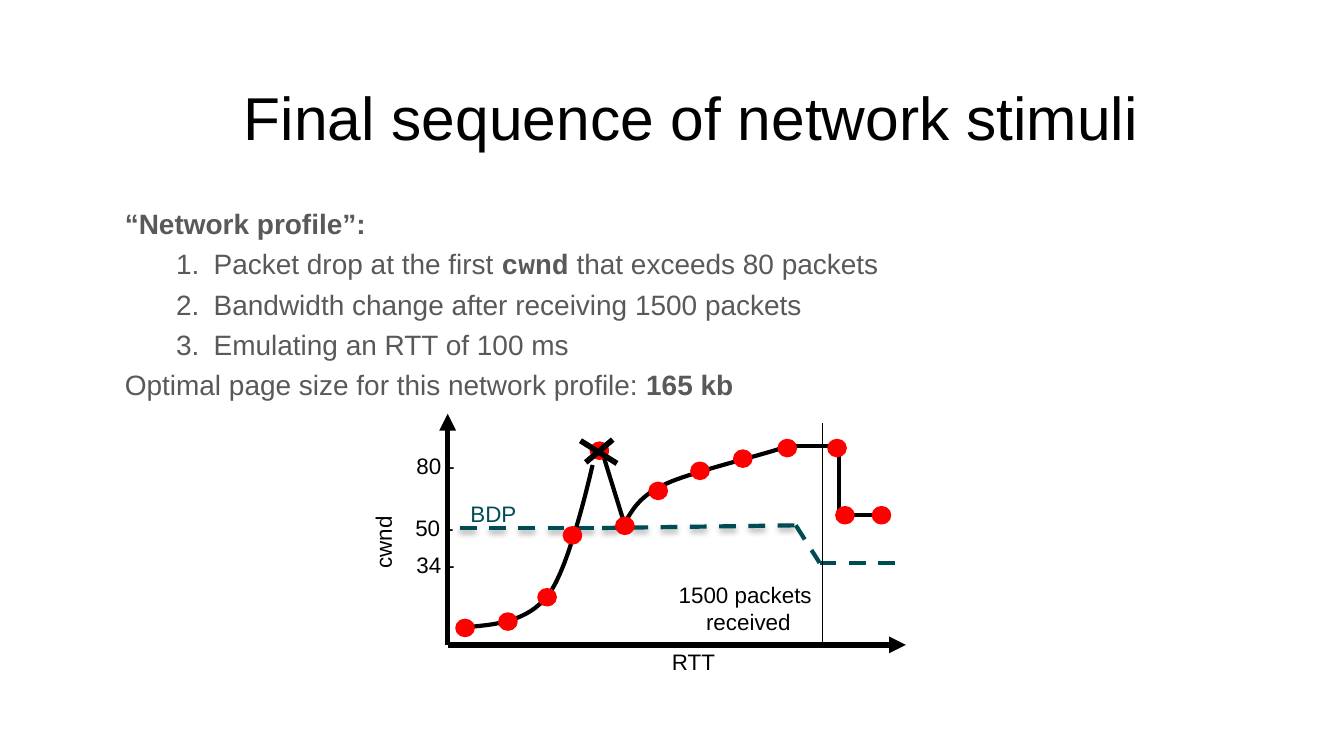
from lxml import etree
from pptx import Presentation
from pptx.dml.color import RGBColor
from pptx.enum.dml import MSO_LINE
from pptx.enum.shapes import MSO_CONNECTOR, MSO_SHAPE
from pptx.enum.text import MSO_ANCHOR, PP_ALIGN
from pptx.oxml.ns import qn
from pptx.util import Cm, Pt

STRAIGHT, ELBOW = MSO_CONNECTOR.STRAIGHT, MSO_CONNECTOR.ELBOW
OVAL, DASH = MSO_SHAPE.OVAL, MSO_LINE.DASH
LEFT, CENTER = PP_ALIGN.LEFT, PP_ALIGN.CENTER
TOP, BOTTOM = MSO_ANCHOR.TOP, MSO_ANCHOR.BOTTOM
BLACK = RGBColor(0, 0, 0)
GRAY = RGBColor(0x59, 0x59, 0x59)
RED = RGBColor(0xFF, 0, 0)
TEAL = RGBColor(0, 0x4C, 0x54)

BODY = [
    (False, [("“Network profile”:", {"bold": True})]),
    (True, [("Packet drop at the first ", {}),
            ("cwnd", {"bold": True, "name": "Courier New"}),
            (" that exceeds 80 packets", {})]),
    (True, [("Bandwidth change after receiving 1500 packets", {})]),
    (True, [("Emulating an RTT of 100 ms", {})]),
    (False, [("Optimal page size for this network profile: ", {}),
             ("165 kb", {"bold": True})]),
]
LABELS = [
    ("cwnd", (6.45, 9.83, 1.57, 0.76), {"rotation": 270}),
    ("RTT", (12.45, 12.12, 2.21, 0.76), {}),
    ("80 -", (7.62, 8.41, 1.47, 0.76), {}),
    ("50 -", (7.6, 9.58, 1.47, 0.76), {}),
    ("34 -", (7.62, 10.29, 1.47, 0.76), {}),
    ("BDP", (8.64, 9.32, 1.45, 0.76), {"color": TEAL}),
    ("1500 packets \nreceived", (12.52, 10.85, 3.25, 1.27), {"align": CENTER}),
]
GROWTH = [(8.76, 11.86), (9.37, 11.81), (9.96, 11.76), (10.36, 11.25),
          (10.77, 10.74), (11.2, 8.79), (11.2, 8.79)]
RECOVERY = [(11.81, 9.88), (11.96, 9.63), (12.09, 9.37), (12.6, 9.14),
            (13.08, 8.92), (14.45, 8.59), (14.81, 8.46)]
DOTS = [(8.64, 11.73), (9.45, 11.61), (10.19, 11.15), (10.67, 9.98),
        (11.18, 8.38), (11.66, 9.8), (12.29, 9.14), (13.08, 8.76),
        (13.89, 8.53), (14.73, 8.33), (15.67, 8.33), (15.82, 9.6),
        (16.51, 9.6)]
BDP = [(8.69, 9.98), (11.38, 9.98), (15.04, 9.93), (15.49, 10.64),
       (16.92, 10.64)]
ORIGIN = (8.46, 12.19)
CROSS = [((10.97, 8.33), (11.66, 8.76)), ((11.58, 8.31), (11.07, 8.74))]


class Canvas:
    """Draws styled elements on the current slide, with lengths in cm."""

    font = "Arial"
    steps = 16

    def __init__(self, s):
        self.s = s

    def text(self, at, size, color=BLACK, align=LEFT, anchor=TOP,
             rotation=0, inset=0.13, spacing=1.0, paragraphs=()):
        sp = self.s.shapes.add_textbox(*map(Cm, at))
        sp.rotation = rotation
        tf = sp.text_frame
        frame = {"word_wrap": True, "vertical_anchor": anchor,
                 "margin_left": Cm(0.25), "margin_right": Cm(0.25),
                 "margin_top": Cm(inset), "margin_bottom": Cm(inset)}
        for key, value in frame.items():
            setattr(tf, key, value)
        for i, (numbered, runs) in enumerate(paragraphs):
            p = tf.add_paragraph() if i else tf.paragraphs[0]
            p.alignment, p.line_spacing = align, spacing
            if numbered:
                self.number(p)
            for content, style in runs:
                r = p.add_run()
                r.text = content
                r.font.color.rgb = color
                base = {"name": self.font, "size": Pt(size), "bold": False}
                for key, value in {**base, **style}.items():
                    setattr(r.font, key, value)

    def number(self, p):
        pPr = p._p.get_or_add_pPr()
        pPr.set("marL", str(Cm(1.68)))
        pPr.set("indent", str(Cm(-0.71)))
        etree.SubElement(pPr, qn("a:buAutoNum"), type="arabicPeriod")

    def label(self, content, at, style):
        lines = [(False, [(line, {})]) for line in content.split("\n")]
        self.text(at, 12, paragraphs=lines, **style)

    def line(self, start, end, width=2.25, color=BLACK, kind=STRAIGHT,
             dash=None, arrow=False, shadow=False):
        cxn = self.s.shapes.add_connector(kind, *map(Cm, start + end))
        cxn.line.color.rgb = color
        cxn.line.width = Pt(width)
        if dash:
            cxn.line.dash_style = dash
        if arrow:
            etree.SubElement(cxn.line._get_or_add_ln(), qn("a:tailEnd"),
                             type="triangle")
        spPr = cxn._element.spPr
        effects = etree.SubElement(spPr, qn("a:effectLst"))
        if shadow:
            outer = etree.SubElement(effects, qn("a:outerShdw"), dir="5400000",
                                     blurRad="40000", dist="23000", rotWithShape="0")
            clr = etree.SubElement(outer, qn("a:srgbClr"), val="000000")
            etree.SubElement(clr, qn("a:alpha"), val="35000")
        return spPr

    def step(self, start, end, *adjusts):
        spPr = self.line(start, end, kind=ELBOW)
        spPr.find(qn("a:xfrm")).set("rot", str(270 * 60000))
        geom = spPr.find(qn("a:prstGeom"))
        geom.set("prst", "bentConnector4")
        guides = geom.get_or_add_avLst()
        for i, value in enumerate(adjusts, 1):
            etree.SubElement(guides, qn("a:gd"), name=f"adj{i}", fmla=f"val {value}")

    def curve(self, points):
        path = []
        for i in range(0, len(points) - 1, 3):
            for n in range(1, self.steps + 1):
                t = n / self.steps
                u = 1 - t
                weights = (u ** 3, 3 * u * u * t, 3 * u * t * t, t ** 3)
                path.append(tuple(
                    Cm(sum(w * v for w, v in zip(weights, axis)))
                    for axis in zip(*points[i:i + 4])))
        builder = self.s.shapes.build_freeform(*map(Cm, points[0]))
        builder.add_line_segments(path, close=False)
        sp = builder.convert_to_shape()
        sp.shadow.inherit = False
        sp.fill.background()
        sp.line.color.rgb = BLACK
        sp.line.width = Pt(2.25)

    def dot(self, x, y):
        sp = self.s.shapes.add_shape(OVAL, *map(Cm, (x, y, 0.3, 0.28)))
        sp.shadow.inherit = False
        sp.fill.solid()
        sp.fill.fore_color.rgb = RED
        sp.line.color.rgb = RED
        sp.line.width = Pt(2)


def main():
    prs = Presentation()
    prs.slide_width, prs.slide_height = Cm(25.4), Cm(14.29)
    c = Canvas(prs.slides.add_slide(prs.slide_layouts[6]))
    c.text((2.11, 1.14, 21.9, 1.88), 32.4, align=CENTER, anchor=BOTTOM,
           paragraphs=[(False, [("Final sequence of network stimuli", {})])])
    c.text((2.11, 3.53, 21.9, 8.61), 15, color=GRAY, inset=0.25, spacing=1.2,
           paragraphs=BODY)
    c.step((16.49, 8.13), (15.09, 9.93), 7300, 54100)
    c.line((11.33, 8.38), (11.81, 9.93))
    for i, (start, end) in enumerate(zip(BDP, BDP[1:])):
        c.line(start, end, color=TEAL, dash=DASH, shadow=i < 2)
    for end in ((17.12, 12.19), (8.46, 7.82)):
        c.line(ORIGIN, end, width=3, arrow=True)
    c.curve(GROWTH)
    c.curve(RECOVERY)
    for label in LABELS:
        c.label(*label)
    for dot in DOTS:
        c.dot(*dot)
    for start, end in CROSS:
        c.line(start, end, width=3)
    c.line((15.54, 8), (15.54, 12.22), width=0.75)
    prs.save("out.pptx")


if __name__ == "__main__":
    main()
